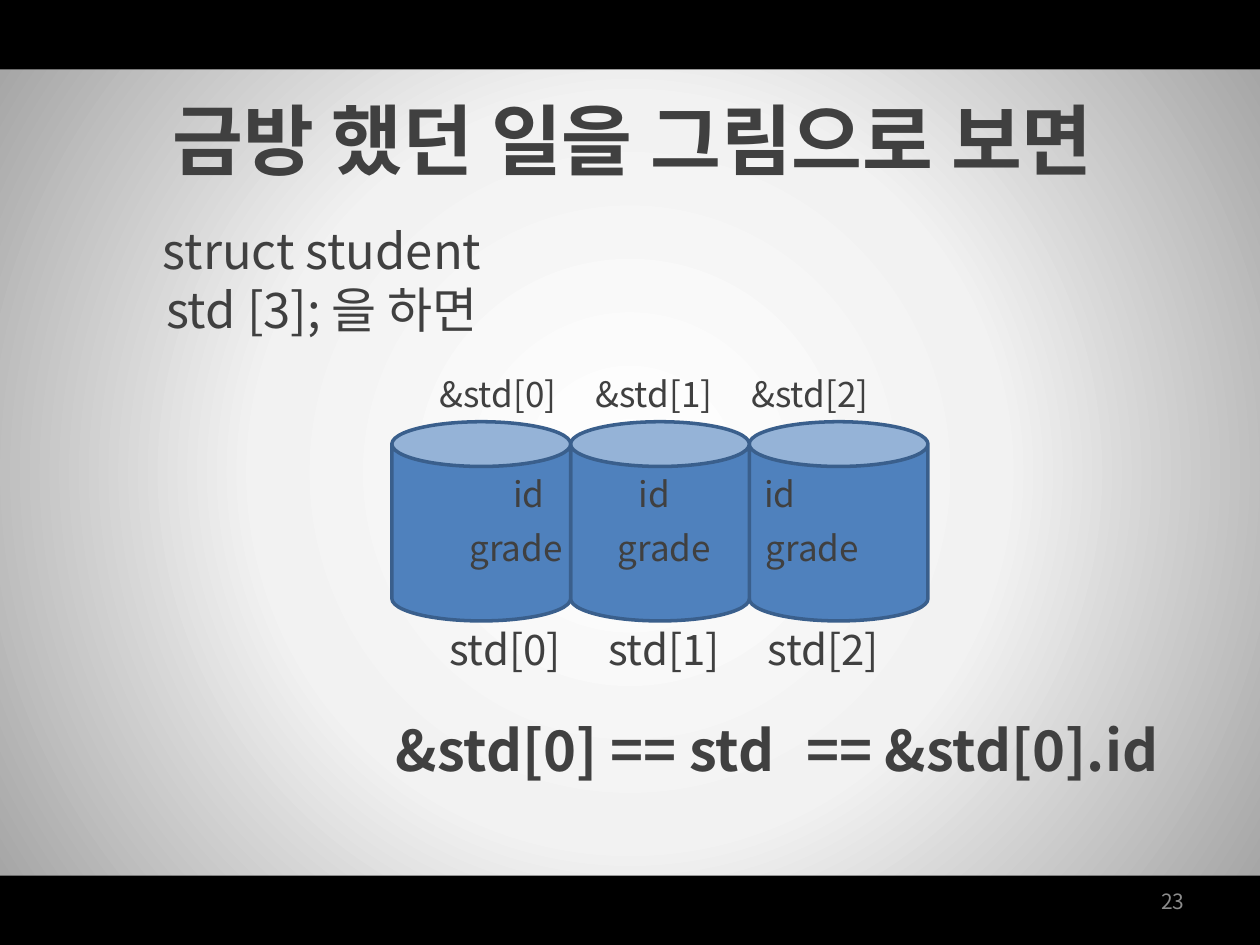
from pptx import Presentation
from pptx.dml.color import RGBColor
from pptx.enum import shapes, text
from pptx.oxml import parse_xml
from pptx.oxml import ns
from pptx.util import Pt

FONT = "Noto Sans CJK KR"
HUES = {
    "ink": "404040",
    "page": "8C8C8C",
    "bar": "000000",
    "can": "4F81BD",
    "edge": "3A5F8C",
}
GLOW = [(0, "FFFFFF"), (50, "F2F2F2"), (100, "A6A6A6")]
WIDE, HIGH, BAR = 720, 540, 39.6
LABELS = [
    ("&std[{}]", 284.6, 89.1, 209.5, 20),
    ("id", 302.3, 71.7, 266.4, 20),
    ("grade", 294.9, 84.7, 297.4, 20),
    ("std[{}]", 288.6, 90.9, 352.8, 24),
]


def color(name):
    return RGBColor.from_string(HUES[name])


def add_block(slide, kind, left, top, width, height, fill):
    block = slide.shapes.add_shape(kind, Pt(left), Pt(top), Pt(width), Pt(height))
    block.shadow.inherit = False
    block.fill.solid()
    block.fill.fore_color.rgb = color(fill)
    block.line.fill.background()
    return block


def add_glow(slide):
    rect = add_block(slide, shapes.MSO_SHAPE.RECTANGLE, 0, BAR, WIDE, HIGH - 2 * BAR, "bar")
    stops = "".join(
        f'<a:gs pos="{pos * 1000}"><a:srgbClr val="{hue}"/></a:gs>' for pos, hue in GLOW
    )
    grad = parse_xml(
        f'<a:gradFill {ns.nsdecls("a")} rotWithShape="1"><a:gsLst>{stops}</a:gsLst>'
        '<a:path path="circle"><a:fillToRect l="50000" t="50000" r="50000" b="50000"/>'
        "</a:path></a:gradFill>"
    )
    solid = rect.element.spPr.find(ns.qn("a:solidFill"))
    solid.getparent().replace(solid, grad)
    slide.shapes.title.element.addprevious(rect.element)


def add_can(slide, left, top):
    can = add_block(slide, shapes.MSO_SHAPE.CAN, left, top, 102.2, 113.8, "can")
    can.line.color.rgb = color("edge")
    can.line.width = Pt(2)


def set_text(box, words, size, bold=False, hue="ink", align=text.PP_ALIGN.CENTER,
             anchor=text.MSO_ANCHOR.TOP):
    frame = box.text_frame
    frame.word_wrap = True
    frame.auto_size = text.MSO_AUTO_SIZE.NONE
    frame.vertical_anchor = anchor
    frame.text = words
    para = frame.paragraphs[0]
    para.alignment = align
    font = para.runs[0].font
    font.size = Pt(size)
    font.bold = bold
    font.color.rgb = color(hue)
    font.name = FONT
    east = parse_xml(f'<a:ea {ns.nsdecls("a")} typeface="{FONT}"/>')
    para.runs[0].font.fill
    para.runs[0]._r.get_or_add_rPr().append(east)


def add_text(slide, words, left, top, width, height, size, **style):
    box = slide.shapes.add_textbox(Pt(left), Pt(top), Pt(width), Pt(height))
    set_text(box, words, size, **style)
    return box


def add_labels(slide, words, center, step, top, size):
    width = 84
    for index in range(3):
        left = center + index * step - width / 2
        box = add_text(slide, words.format(index), left, top, width, size * 1.58, size)
        box.text_frame.margin_left = box.text_frame.margin_right = 0


def set_title(slide, words):
    title = slide.shapes.title
    title.left, title.top, title.width, title.height = Pt(20.2), Pt(49), Pt(683.3), Pt(60.5)
    set_text(title, words, 44, bold=True)


def main():
    deck = Presentation()
    deck.slide_width, deck.slide_height = Pt(WIDE), Pt(HIGH)
    slide = deck.slides.add_slide(deck.slide_layouts[5])
    set_title(slide, "금방 했던 일을 그림으로 보면")
    add_glow(slide)
    for top in (0, HIGH - BAR):
        add_block(slide, shapes.MSO_SHAPE.RECTANGLE, 0, top, WIDE, BAR, "bar")
    add_text(slide, "23", 516.2, 500.4, 167.8, 28.8, 12, hue="page",
             align=text.PP_ALIGN.RIGHT, anchor=text.MSO_ANCHOR.MIDDLE)
    add_text(slide, "struct student std [3]; 을 하면", 67, 122.4, 234, 74.9, 28)
    for index in (2, 1, 0):
        add_can(slide, 223.9 + index * 102.1, 241)
    for label in LABELS:
        add_labels(slide, *label)
    for words, left in (("&std[0] == std", 139), ("== &std[0].id", 365.8)):
        add_text(slide, words, left, 405.4, 391, 46, 32, bold=True)
    deck.save("out.pptx")


if __name__ == "__main__":
    main()
